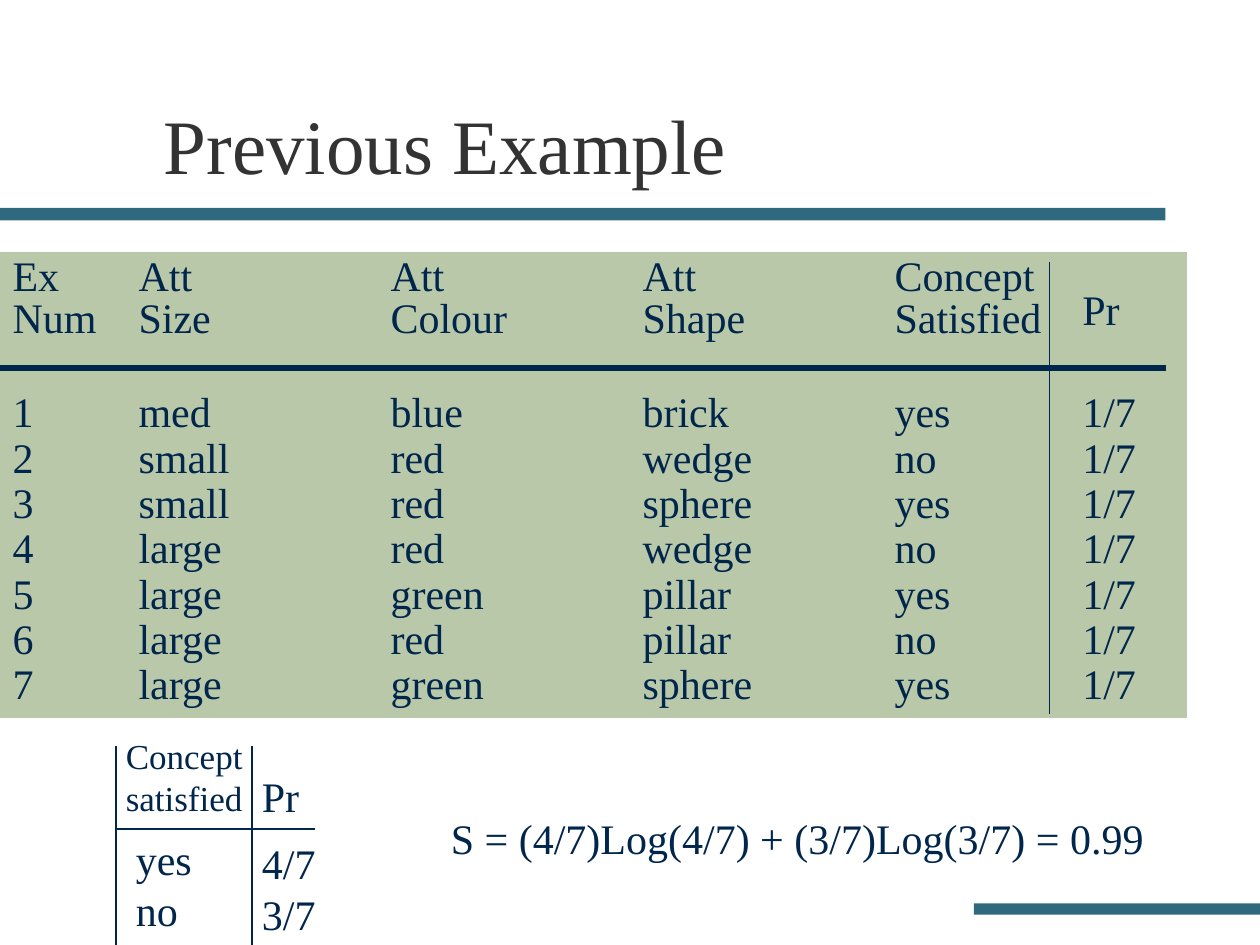
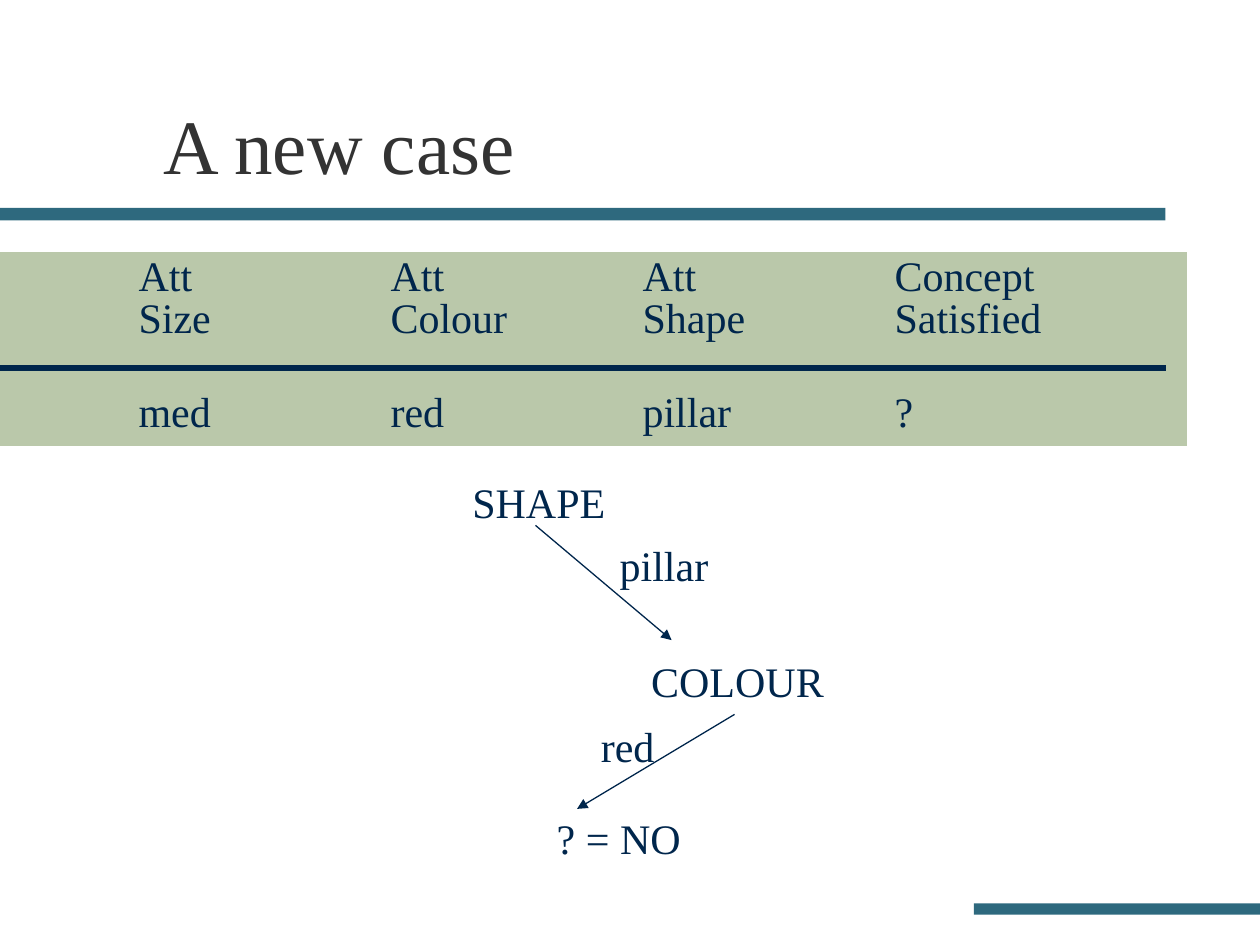
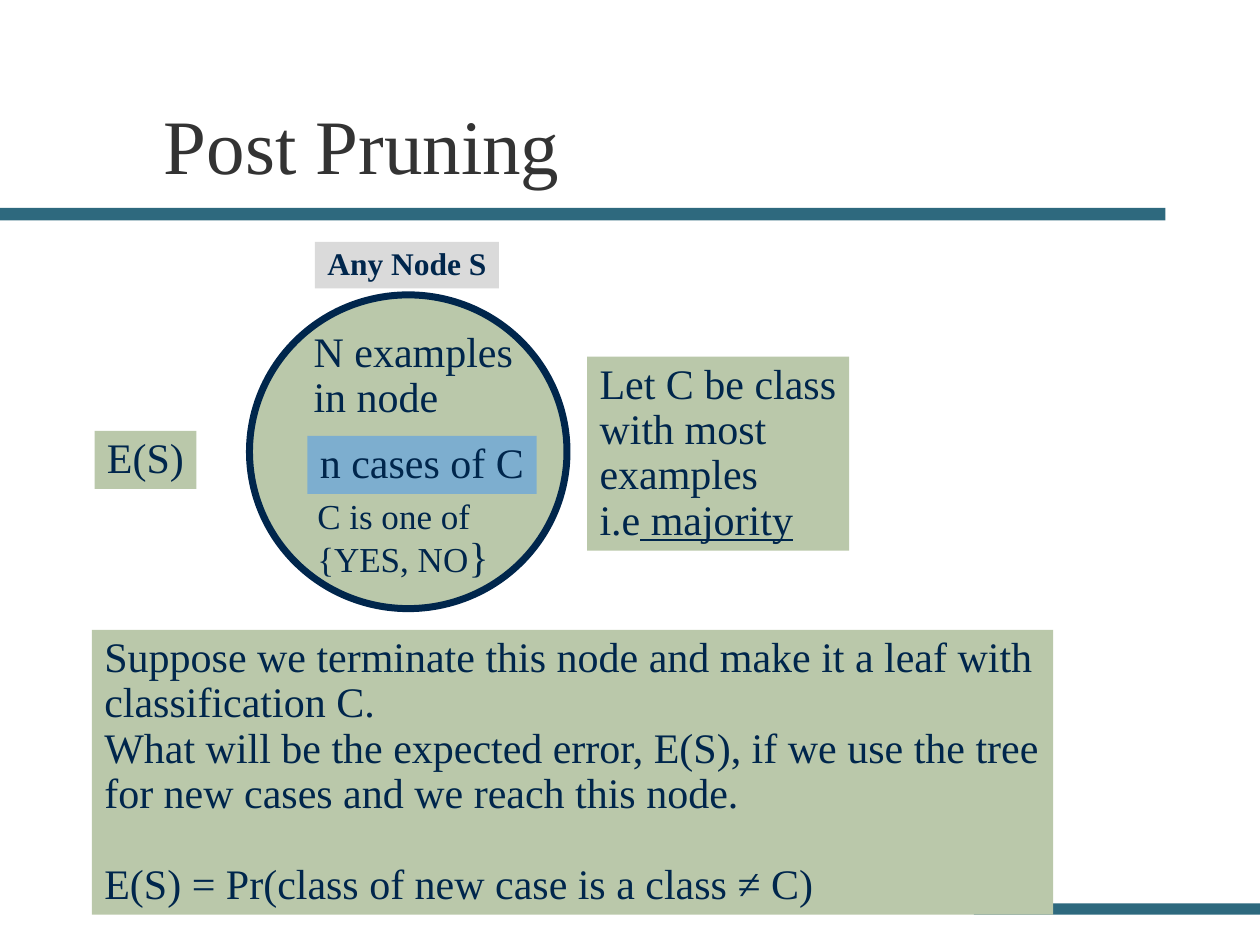
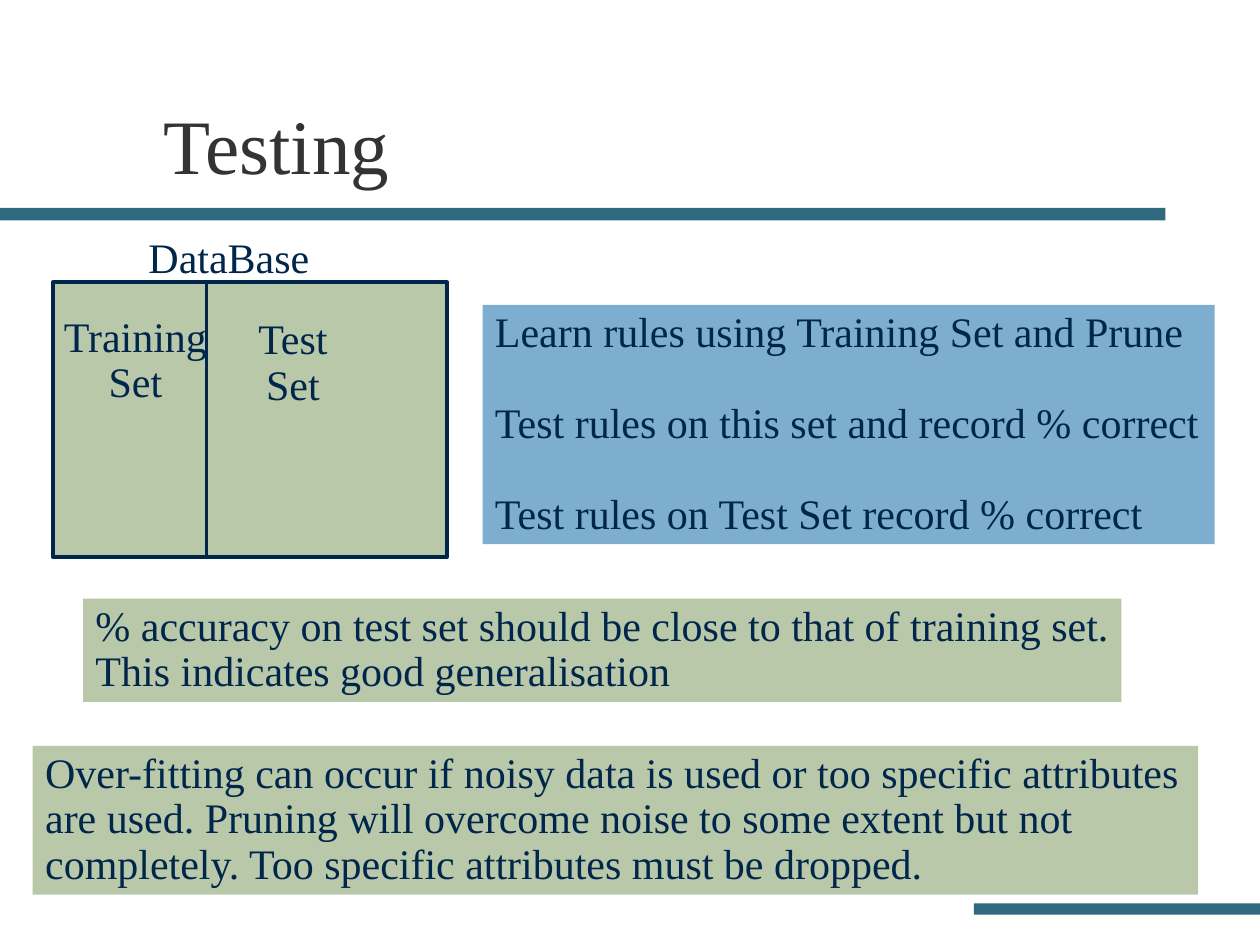
from pptx import Presentation
from pptx.dml.color import RGBColor
from pptx.enum.shapes import MSO_CONNECTOR as Connector, MSO_SHAPE as Shape
from pptx.enum.text import MSO_ANCHOR as Anchor, MSO_AUTO_SIZE as AutoSize, PP_ALIGN as Align
from pptx.oxml.ns import qn
from pptx.util import Inches, Pt
from lxml import etree

# Shared look
NAVY = RGBColor(0x00, 0x26, 0x4C)
TEAL = RGBColor(0x2E, 0x69, 0x7E)
SAGE = RGBColor(0xBA, 0xC8, 0xAA)
SKY = RGBColor(0x7D, 0xAE, 0xCF)
GREY = RGBColor(0xDA, 0xDA, 0xDA)
CHARCOAL = RGBColor(0x33, 0x33, 0x33)
FONT = "Times New Roman"
BODY_SIZE = 24
TIGHT = 0.9
BLANK_LINE = 26
BANDS = [(0, 1.65, 9.25, 0.1), (7.73, 7.17, 2.27, 0.09)]
TITLE_AT = (1.2, 0.31, 8.5, 1.25)
NO_GRID_STYLE = "{2D5ABB26-0587-4C30-8999-92F81FD0307C}"

# Table geometry
TABLE_TOP, TABLE_RIGHT = 2, 9.42
COLUMN_EDGES = [0, 1, 3, 5, 7, 8.33]
HEADER_HEIGHT, ROW_HEIGHT = 0.92, 0.36
FIRST_ROW_GAP, EDGE_GAP = 0.21, 0.05
PR_COLUMN = 5
HEADER_RULE = ((0, 2.92), (9.25, 2.92), {"width": 3})

# Content: boxes are (lines, place, options), lines are (start, end, options)
ATTRIBUTES = ["Att\nSize", "Att\nColour", "Att\nShape", "Concept\nSatisfied"]
EXAMPLES = [
    ("med", "blue", "brick", "yes"),
    ("small", "red", "wedge", "no"),
    ("small", "red", "sphere", "yes"),
    ("large", "red", "wedge", "no"),
    ("large", "green", "pillar", "yes"),
    ("large", "red", "pillar", "no"),
    ("large", "green", "sphere", "yes"),
]
LOOSE = {"spacing": 1.0}
ARROW = {"arrow": True}
CENTRED = {"align": Align.CENTER}

SLIDES = [
    {
        "title": "Previous Example",
        "table": [["Ex\nNum", *ATTRIBUTES, "Pr"]]
        + [[str(number), *example, "1/7"] for number, example in enumerate(EXAMPLES, 1)],
        "lines": [
            HEADER_RULE,
            ((8.33, 2.08), (8.33, 5.67), {}),
            ((0.92, 5.92), (0.92, 7.5), {}),
            ((0.92, 6.58), (2.5, 6.58), {}),
            ((2, 5.92), (2, 7.5), {}),
        ],
        "boxes": [
            (["Concept", "satisfied"], (0.9, 5.78, 1.13, 0.77), {"size": 20, **LOOSE}),
            (["yes", "no"], (0.98, 6.57, 0.64, 0.9), LOOSE),
            (["Pr"], (1.98, 6.07, 0.49, 0.5), LOOSE),
            (["4/7", "3/7"], (1.98, 6.6, 0.62, 0.9), LOOSE),
            (["S = (4/7)Log(4/7) + (3/7)Log(3/7) = 0.99"], (3.48, 6.4, 5.7, 0.5), LOOSE),
        ],
    },
    {
        "title": "A new case",
        "table": [["", *ATTRIBUTES], ["", "med", "red", "pillar", "?"]],
        "lines": [
            HEADER_RULE,
            ((4.25, 4.17), (5.33, 5.08), ARROW),
            ((5.83, 5.67), (4.58, 6.42), ARROW),
        ],
        "boxes": [
            (["SHAPE"], (3.65, 3.73, 1.25, 0.5), LOOSE),
            (["pillar"], (4.82, 4.23, 0.9, 0.5), LOOSE),
            (["COLOUR"], (5.07, 5.15, 1.57, 0.5), LOOSE),
            (["red"], (4.67, 5.67, 0.62, 0.5), LOOSE),
            (["? = NO"], (4.32, 6.4, 1.18, 0.5), LOOSE),
        ],
    },
    {
        "title": "Post Pruning",
        "panels": [(Shape.OVAL, (1.98, 2.34, 2.52, 2.49), 4)],
        "boxes": [
            (["Any Node S"], (2.5, 1.92, 1.46, 0.37), {"fill": GREY, "size": 18, "bold": True}),
            (["N examples", "in node"], (2.39, 2.58, 1.78, 0.82), {}),
            (["n cases of C"], (2.44, 3.46, 1.82, 0.46), {"fill": SKY}),
            (["C is one of", [("{YES, NO", {}), ("}", {"size": Pt(BODY_SIZE)})]],
             (2.42, 3.91, 1.56, 0.76), {"size": 20}),
            (["Let C be class", "with most", "examples",
              [("i.e", {}), (" majority", {"underline": True})]],
             (4.66, 2.83, 2.08, 1.54), {"fill": SAGE}),
            (["E(S)"], (0.75, 3.42, 0.81, 0.46), {"fill": SAGE}),
            (["Suppose we terminate this node and make it a leaf with",
              "classification C.",
              "What will be the expected error, E(S), if we use the tree",
              "for new cases and we reach this node.",
              "E(S) = Pr(class of new case is a class ≠ C)"],
             (0.73, 5, 7.63, 2.26), {"fill": SAGE, "gap_before": {4}}),
        ],
    },
    {
        "title": "Testing",
        "panels": [(Shape.RECTANGLE, (0.42, 2.24, 3.13, 2.18), 2)],
        "lines": [((1.64, 2.24), (1.64, 4.43), {"width": 2})],
        "boxes": [
            (["DataBase"], (1.08, 1.83, 1.48, 0.46), {}),
            (["Training", "Set"], (0.4, 2.46, 1.35, 0.82), CENTRED),
            (["Test", "Set"], (1.94, 2.48, 0.77, 0.82), CENTRED),
            (["Learn rules using Training Set and Prune",
              "Test rules on this set and record % correct",
              "Test rules on Test Set record % correct"],
             (3.83, 2.42, 5.81, 1.9), {"fill": SKY, "gap_before": {1, 2}}),
            (["% accuracy on test set should be close to that of training set.",
              "This indicates good generalisation"],
             (0.66, 4.75, 8.24, 0.82), {"fill": SAGE}),
            (["Over-fitting can occur if noisy data is used or too specific attributes",
              "are used. Pruning will overcome noise to some extent but not",
              "completely. Too specific attributes must be dropped."],
             (0.26, 5.92, 9.25, 1.18), {"fill": SAGE}),
        ],
    },
]


def inches(values):
    return [Inches(value) for value in values]


def apply(target, formats):
    for name, value in formats.items():
        setattr(target, name, value)


def write(frame, lines, size=BODY_SIZE, spacing=TIGHT, align=Align.LEFT,
          bold=False, color=NAVY, gap_before=()):
    """Fill a text frame; each line is a string or a list of (text, formats)."""
    for index, line in enumerate(lines):
        para = frame.add_paragraph() if index else frame.paragraphs[0]
        gap = Pt(BLANK_LINE if index in gap_before else 0)
        apply(para, {"alignment": align, "line_spacing": spacing, "space_before": gap})
        for text, formats in [(line, {})] if isinstance(line, str) else line:
            span = para.add_run()
            span.text = text
            apply(span.font, {"name": FONT, "size": Pt(size), "bold": bold, **formats})
            span.font.color.rgb = color


def add_panel(slide, kind, place, fill, line_width=0):
    panel = slide.shapes.add_shape(kind, *inches(place))
    panel.shadow.inherit = False
    panel.fill.solid()
    panel.fill.fore_color.rgb = fill
    if line_width:
        panel.line.color.rgb = NAVY
        panel.line.width = Pt(line_width)
    else:
        panel.line.fill.background()
    return panel


def add_box(slide, lines, place, fill=None, **style):
    if fill is None:
        box = slide.shapes.add_textbox(*inches(place))
    else:
        box = add_panel(slide, Shape.RECTANGLE, place, fill)
    apply(box.text_frame, {"word_wrap": False, "auto_size": AutoSize.NONE,
                           "vertical_anchor": Anchor.TOP})
    write(box.text_frame, lines, **style)


def add_line(slide, start, end, width=0.75, arrow=False):
    line = slide.shapes.add_connector(Connector.STRAIGHT, *inches(start + end))
    line.line.color.rgb = NAVY
    line.line.width = Pt(width)
    if arrow:
        tail = etree.SubElement(line.line._get_or_add_ln(), qn("a:tailEnd"))
        tail.set("type", "triangle")
    etree.SubElement(line.element.spPr, qn("a:effectLst"))


def add_examples(slide, rows):
    """Table of examples: a tall header, a gap, then equal rows."""
    columns = len(rows[0])
    edges = COLUMN_EDGES[:columns] + [TABLE_RIGHT]
    heights = [HEADER_HEIGHT] + [ROW_HEIGHT] * (len(rows) - 1)
    heights[1] += FIRST_ROW_GAP
    heights[-1] += EDGE_GAP
    frame = slide.shapes.add_table(
        len(rows), columns, *inches((0, TABLE_TOP, TABLE_RIGHT, sum(heights))))
    for style in frame.element.iter(qn("a:tableStyleId")):
        style.text = NO_GRID_STYLE
    table = frame.table
    apply(table, {"first_row": False, "horz_banding": False})
    for column, left, right in zip(table.columns, edges, edges[1:]):
        column.width = Inches(right - left)
    for row_index, (row, height) in enumerate(zip(rows, heights)):
        table.rows[row_index].height = Inches(height)
        for column_index, text in enumerate(row):
            cell = table.cell(row_index, column_index)
            is_pr = column_index == PR_COLUMN
            top = {0: 0.32 if is_pr else EDGE_GAP, 1: FIRST_ROW_GAP}.get(row_index, 0)
            apply(cell, {"margin_left": Inches(0.26 if is_pr else 0.1), "margin_right": 0,
                         "margin_top": Inches(top), "margin_bottom": 0,
                         "vertical_anchor": Anchor.TOP})
            cell.fill.solid()
            cell.fill.fore_color.rgb = SAGE
            if text:
                write(cell.text_frame, text.split("\n"))


def add_title(slide, text):
    title = slide.shapes.title
    apply(title, dict(zip(("left", "top", "width", "height"), inches(TITLE_AT))))
    apply(title.text_frame, {"vertical_anchor": Anchor.BOTTOM, "word_wrap": True,
                             "auto_size": AutoSize.NONE})
    write(title.text_frame, [text], size=44, spacing=1.0, color=CHARCOAL)


def add_bands(slide):
    """Put the teal bands on the layout, so that every slide shows them."""
    for place in BANDS:
        band = add_panel(slide, Shape.RECTANGLE, place, TEAL)
        slide.slide_layout.shapes.element.append(band.element)


def main():
    deck = Presentation()
    deck.slide_width, deck.slide_height = inches((10, 7.5))
    layout = deck.slide_layouts.get_by_name("Title Only")
    for index, page in enumerate(SLIDES):
        slide = deck.slides.add_slide(layout)
        if index == 0:
            add_bands(slide)
        add_title(slide, page["title"])
        if "table" in page:
            add_examples(slide, page["table"])
        for kind, place, line_width in page.get("panels", []):
            add_panel(slide, kind, place, SAGE, line_width)
        for start, end, options in page.get("lines", []):
            add_line(slide, start, end, **options)
        for lines, place, options in page["boxes"]:
            add_box(slide, lines, place, **options)
    deck.save("out.pptx")


if __name__ == "__main__":
    main()
